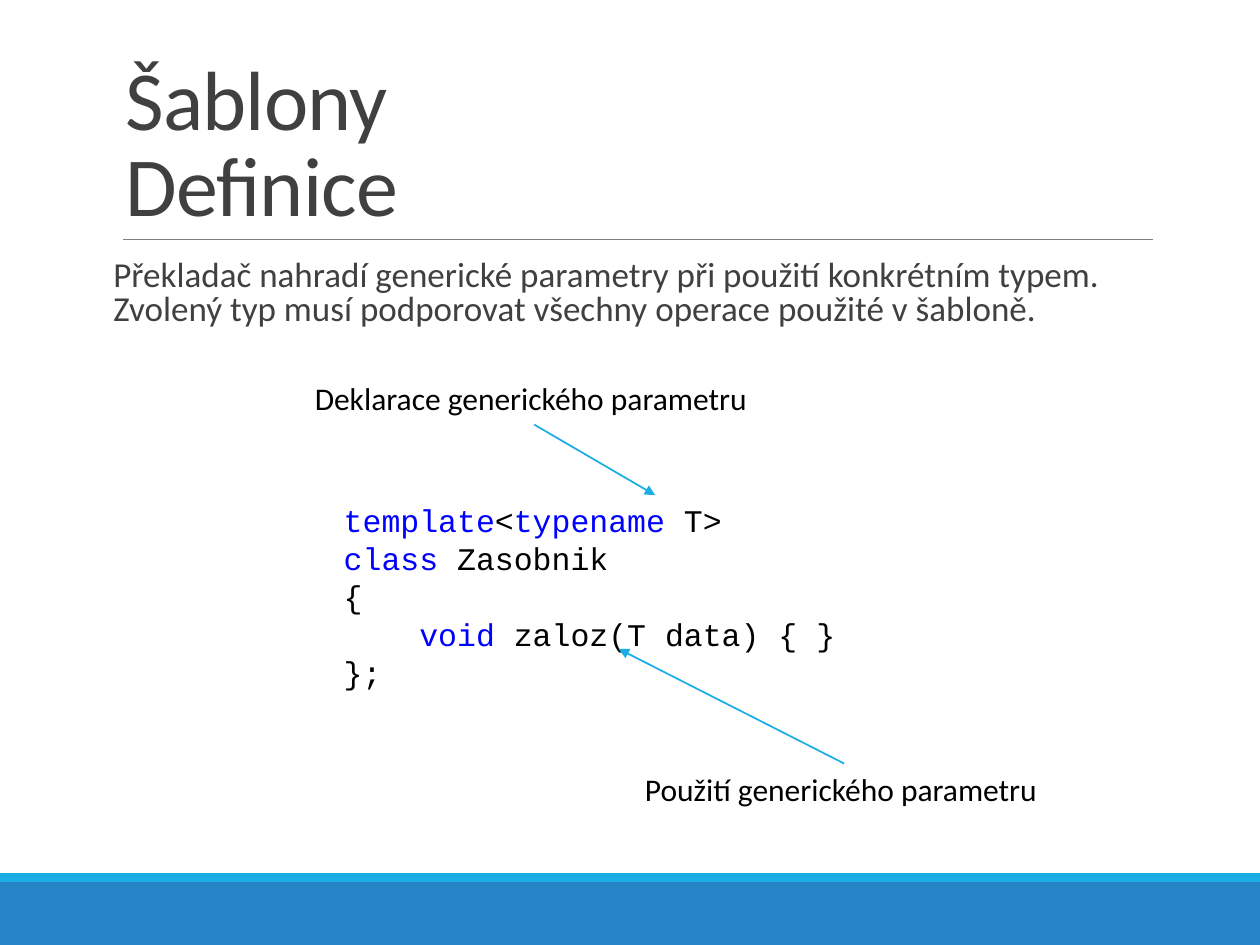
"""Build a slide that explains the definition of templates."""
from dataclasses import dataclass

from lxml import etree
from pptx import Presentation
from pptx.dml.color import RGBColor
from pptx.enum.shapes import MSO_CONNECTOR, MSO_SHAPE
from pptx.enum.text import MSO_ANCHOR
from pptx.oxml.ns import qn
from pptx.util import Inches, Pt

STRAIGHT = MSO_CONNECTOR.STRAIGHT
RECTANGLE = MSO_SHAPE.RECTANGLE
TOP, BOTTOM = MSO_ANCHOR.TOP, MSO_ANCHOR.BOTTOM


@dataclass(frozen=True)
class Theme:
    """Colours, fonts and type sizes of the slide."""
    heading: str = "404040"
    ink: str = "000000"
    keyword: str = "0000FF"
    rule: str = "808080"
    accent: str = "1CADE4"
    footer: str = "2683C6"
    sans: str = "Calibri"
    mono: str = "Courier New"
    title_size: int = 48
    body_size: int = 20
    label_size: int = 18


THEME = Theme()
WIDTH, HEIGHT = 10, 7.5
BANDS = [((0, 7, WIDTH, 0.5), THEME.footer), ((0, 6.93, WIDTH, 0.07), THEME.accent)]
TITLE = ["Šablony", "Definice"]
BODY = ("Překladač nahradí generické parametry při použití konkrétním typem. "
        "Zvolený typ musí podporovat všechny operace použité v šabloně.")
KEYWORDS = {"template", "typename", "class", "void"}
CODE = [
    ["template", "<", "typename", " T>"],
    ["class", " Zasobnik"],
    ["{"],
    ["    ", "void", " zaloz(T data) { }"],
    ["};"],
]
LABELS = [
    ("Deklarace generického parametru", (2.4, 2.96, 3.67, 0.4)),
    ("Použití generického parametru", (5.02, 6.06, 3.35, 0.4)),
]
RULE = ((0.98, 1.9), (9.15, 1.9))
ARROWS = [((4.24, 3.37), (5.2, 3.93)), ((6.7, 6.06), (4.91, 5.15))]


def add_band(page, place, color):
    band = page.shapes.add_shape(RECTANGLE, *map(Inches, place))
    band.shadow.inherit = False
    band.fill.solid()
    band.fill.fore_color.rgb = RGBColor.from_string(color)
    band.line.fill.background()


def add_line(page, start, end, color, weight, arrow=False):
    line = page.shapes.add_connector(STRAIGHT, *map(Inches, start + end))
    line.line.color.rgb = RGBColor.from_string(color)
    line.line.width = Pt(weight)
    if arrow:
        etree.SubElement(line.line._get_or_add_ln(), qn("a:tailEnd"), type="triangle")
    etree.SubElement(line._element.spPr, qn("a:effectLst"))


def add_box(page, place, wrap=True, anchor=TOP):
    frame = page.shapes.add_textbox(*map(Inches, place)).text_frame
    frame.word_wrap = wrap
    frame.vertical_anchor = anchor
    return frame


def add_span(para, text, size, color, font=THEME.sans):
    span = para.add_run()
    span.text = text
    span.font.size = Pt(size)
    span.font.name = font
    span.font.color.rgb = RGBColor.from_string(color)
    return span


def add_title(page):
    para = add_box(page, (0.9, 0.31, 8.25, 1.59), anchor=BOTTOM).paragraphs[0]
    para.line_spacing = 0.85
    for index, text in enumerate(TITLE):
        if index:
            para.add_line_break()
        span = add_span(para, text, THEME.title_size, THEME.heading)
        span.font._element.set("spc", "-50")


def add_body(page):
    frame = add_box(page, (0.9, 2.02, 8.25, 0.65))
    frame.margin_left = frame.margin_right = 0
    para = frame.paragraphs[0]
    para.line_spacing = 0.8
    para.space_after = Pt(2)
    add_span(para, BODY, THEME.body_size, THEME.heading)


def add_code(page):
    frame = add_box(page, (2.63, 3.93, 5.13, 1.62))
    for index, pieces in enumerate(CODE):
        para = frame.add_paragraph() if index else frame.paragraphs[0]
        for text in pieces:
            color = THEME.keyword if text in KEYWORDS else THEME.ink
            add_span(para, text, THEME.label_size, color, THEME.mono)


def main():
    deck = Presentation()
    deck.slide_width, deck.slide_height = Inches(WIDTH), Inches(HEIGHT)
    page = deck.slides.add_slide(deck.slide_layouts[6])
    for place, color in BANDS:
        add_band(page, place, color)
    add_line(page, *RULE, THEME.rule, 0.5)
    add_title(page)
    add_body(page)
    add_code(page)
    for text, place in LABELS:
        para = add_box(page, place, wrap=False).paragraphs[0]
        add_span(para, text, THEME.label_size, THEME.ink)
    for start, end in ARROWS:
        add_line(page, start, end, THEME.accent, 1, arrow=True)
    deck.save("out.pptx")


if __name__ == "__main__":
    main()
